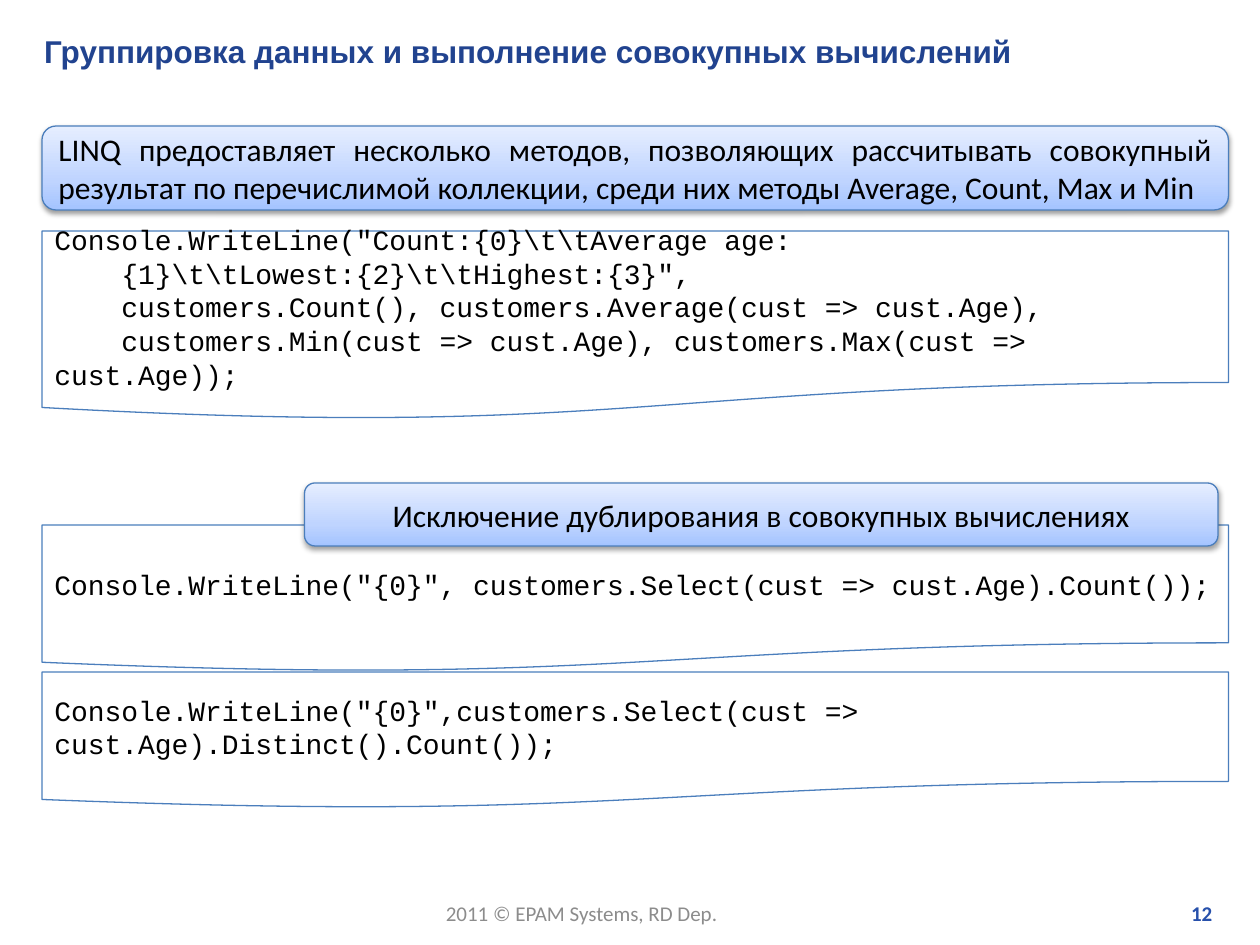
from copy import deepcopy

from lxml.etree import SubElement
from pptx import Presentation
from pptx.dml.color import RGBColor
from pptx.enum.shapes import MSO_SHAPE
from pptx.enum.text import MSO_ANCHOR, MSO_AUTO_SIZE, PP_ALIGN
from pptx.oxml.ns import qn
from pptx.util import Inches, Pt

GRID = Inches(1) // 12  # the slide is 120 columns by 90 rows
LEFT, WIDTH = 4, 113
COLORS = {
    "title": "21438F",
    "footer": "8C8C8C",
    "number": "2750AB",
    "text": "000000",
    "outline": "4B7EBC",
    "paper": "FFFFFF",
    "shadow": "000000",
}
BANNER_STOPS = [(0, "A4C4FF"), (0.35, "BFD4FF"), (1, "E6EEFF")]

AGGREGATES_CODE = r'''Console.WriteLine("Count:{0}\t\tAverage age:
    {1}\t\tLowest:{2}\t\tHighest:{3}",
    customers.Count(), customers.Average(cust => cust.Age),
    customers.Min(cust => cust.Age), customers.Max(cust => cust.Age));'''
COUNT_CODE = 'Console.WriteLine("{0}", customers.Select(cust => cust.Age).Count());'
DISTINCT_CODE = (
    'Console.WriteLine("{0}",customers.Select(cust => cust.Age).Distinct().Count());'
)


def color(name):
    return RGBColor.from_string(COLORS[name])


def set_text(shape, text, font, size, color_name, align=PP_ALIGN.LEFT, bold=False):
    shape.text_frame.text = text
    for paragraph in shape.text_frame.paragraphs:
        paragraph.alignment = align
        for run in paragraph.runs:
            run.font.name = font
            run.font.size = Pt(size)
            run.font.bold = bold
            run.font.color.rgb = color(color_name)


def add_box(slide, kind, column, row, columns, rows):
    """Add an outlined shape placed by grid cells, without a shadow."""
    shape = slide.shapes.add_shape(
        kind, column * GRID, row * GRID, columns * GRID, rows * GRID
    )
    shape.shadow.inherit = False
    shape.line.color.rgb = color("outline")
    shape.line.width = Pt(0.75)
    shape.text_frame.word_wrap = True
    shape.text_frame.vertical_anchor = MSO_ANCHOR.MIDDLE
    return shape


def add_code(slide, row, rows, code):
    shape = add_box(slide, MSO_SHAPE.FLOWCHART_DOCUMENT, LEFT, row, WIDTH, rows)
    shape.fill.solid()
    shape.fill.fore_color.rgb = color("paper")
    set_text(shape, code, "Courier New", 16, "text")


def fill_gradient(shape):
    shape.fill.gradient()
    shape.fill.gradient_angle = 90
    stop_list = shape.element.spPr.find(qn("a:gradFill")).find(qn("a:gsLst"))
    stop_list.insert(1, deepcopy(stop_list[0]))
    for stop, (position, hex_color) in zip(shape.fill.gradient_stops, BANNER_STOPS):
        stop.position = position
        stop.color.rgb = RGBColor.from_string(hex_color)


def add_shadow(shape):
    effects = shape.element.spPr.find(qn("a:effectLst"))
    shadow = SubElement(
        effects, qn("a:outerShdw"), blurRad=str(Pt(3.1)), dist=str(Pt(1.6)),
        dir="5400000", rotWithShape="0",
    )
    shade = SubElement(shadow, qn("a:srgbClr"), val=COLORS["shadow"])
    SubElement(shade, qn("a:alpha"), val="38000")


def add_banner(slide, column, row, columns, rows, text, align):
    shape = add_box(slide, MSO_SHAPE.ROUNDED_RECTANGLE, column, row, columns, rows)
    fill_gradient(shape)
    add_shadow(shape)
    set_text(shape, text, "Calibri", 18, "text", align)
    shape.text_frame.paragraphs[0].space_after = Pt(10)


def add_footer(slide, left, width, text, color_name, wrap, **style):
    box = slide.shapes.add_textbox(Inches(left), Inches(7.1), Inches(width), Inches(0.3))
    box.text_frame.word_wrap = wrap
    box.text_frame.auto_size = MSO_AUTO_SIZE.SHAPE_TO_FIT_TEXT
    set_text(box, text, "Calibri", 12, color_name, **style)


def set_title(slide, text):
    title = slide.shapes.title
    title.left, title.top = Inches(0.25), Inches(0.2)
    title.width, title.height = Inches(9.54), Inches(0.4)
    title.text_frame.vertical_anchor = MSO_ANCHOR.MIDDLE
    set_text(title, text, "Arial", 18, "title", bold=True)


def main():
    presentation = Presentation()
    presentation.slide_width, presentation.slide_height = 120 * GRID, 90 * GRID
    slide = presentation.slides.add_slide(presentation.slide_layouts[5])

    add_footer(slide, 3.44, 2.39, "2011 © EPAM Systems, RD Dep.", "footer", False)
    add_footer(slide, 7.6, 2.12, "12", "number", True, align=PP_ALIGN.RIGHT, bold=True)
    set_title(slide, "Группировка данных и выполнение совокупных вычислений")

    add_code(slide, 22, 18, AGGREGATES_CODE)
    add_banner(
        slide, LEFT, 12, WIDTH, 8,
        "LINQ предоставляет несколько методов, позволяющих рассчитывать совокупный "
        "результат по перечислимой коллекции, среди них методы Average, Count, "
        "Max и Min",
        PP_ALIGN.JUSTIFY,
    )
    add_code(slide, 50, 14, COUNT_CODE)
    add_code(slide, 64, 13, DISTINCT_CODE)
    add_banner(
        slide, 29, 46, 87, 6,
        "Исключение дублирования в совокупных вычислениях", PP_ALIGN.CENTER,
    )
    presentation.save("out.pptx")


if __name__ == "__main__":
    main()
